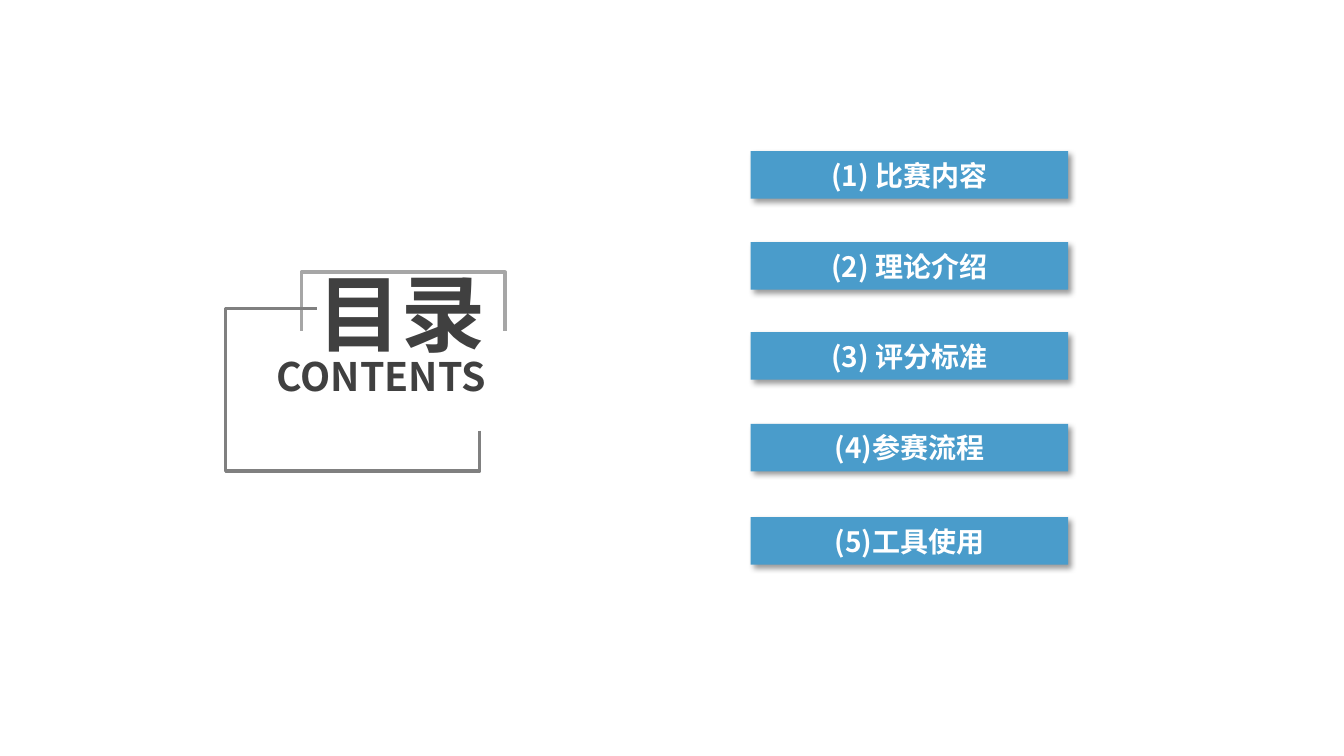
import lxml.etree
import pptx
import pptx.dml.color
import pptx.enum.shapes
import pptx.enum.text
import pptx.oxml
import pptx.oxml.ns
import pptx.util
from pptx.util import Cm

COLORS = {
    "title": "404040",
    "upper_frame": "A6A6A6",
    "lower_frame": "808080",
    "bar": "4A9CCB",
    "bar_text": "FFFFFF",
}
FONT = "Noto Sans CJK SC"
SHADOW = (
    f'<a:effectLst {pptx.oxml.ns.nsdecls("a")}>'
    '<a:outerShdw blurRad="50800" dist="38100" dir="2700000" algn="tl" rotWithShape="0">'
    '<a:srgbClr val="000000"><a:alpha val="40000"/></a:srgbClr>'
    "</a:outerShdw></a:effectLst>"
)


def rgb(name):
    return pptx.dml.color.RGBColor.from_string(COLORS[name])


def add_run(paragraph, text, size, color):
    """Add a bold run that uses FONT for Latin and East Asian letters."""
    run = paragraph.add_run()
    run.text = text
    run.font.size = pptx.util.Pt(size)
    run.font.bold = True
    run.font.name = FONT
    run.font.color.rgb = rgb(color)
    east_asian = lxml.etree.SubElement(run.font._element, pptx.oxml.ns.qn("a:ea"))
    east_asian.set("typeface", FONT)


presentation = pptx.Presentation()
presentation.slide_width = Cm(33.87)
presentation.slide_height = Cm(19.05)
slide = presentation.slides.add_slide(presentation.slide_layouts[6])

# Heading
heading = slide.shapes.add_textbox(Cm(3.63), Cm(6.96), Cm(8.86), Cm(4.01))
heading.text_frame.word_wrap = True
heading.text_frame.auto_size = pptx.enum.text.MSO_AUTO_SIZE.SHAPE_TO_FIT_TEXT
title = heading.text_frame.paragraphs[0]
subtitle = heading.text_frame.add_paragraph()
for paragraph, text, size in ((title, "目录", 60), (subtitle, "CONTENTS", 28)):
    paragraph.alignment = pptx.enum.text.PP_ALIGN.RIGHT
    paragraph.line_spacing = 0.8
    add_run(paragraph, text, size, "title")

# Open frames around the heading
frames = {
    "upper_frame": [(7.6, 8.33), (7.6, 6.86), (12.73, 6.86), (12.73, 8.33)],
    "lower_frame": [(12.09, 10.85), (12.09, 11.87), (5.69, 11.87), (5.69, 7.77), (7.98, 7.77)],
}
for name, corners in frames.items():
    points = [(Cm(x), Cm(y)) for x, y in corners]
    builder = slide.shapes.build_freeform(*points[0])
    builder.add_line_segments(points[1:], close=False)
    frame = builder.convert_to_shape()
    frame.shadow.inherit = False
    frame.fill.background()
    frame.line.color.rgb = rgb(name)
    frame.line.width = pptx.util.Pt(2.5)

# Agenda bars
agenda = [
    (3.81, "(1) 比赛内容"),
    (6.1, "(2) 理论介绍"),
    (8.37, "(3) 评分标准"),
    (10.68, "(4)参赛流程"),
    (13.03, "(5)工具使用"),
]
for top, text in agenda:
    bar = slide.shapes.add_shape(
        pptx.enum.shapes.MSO_SHAPE.RECTANGLE, Cm(18.92), Cm(top), Cm(8), Cm(1.2)
    )
    bar.fill.solid()
    bar.fill.fore_color.rgb = rgb("bar")
    bar.line.fill.background()
    bar._element.spPr.append(pptx.oxml.parse_xml(SHADOW))
    bar.text_frame.vertical_anchor = pptx.enum.text.MSO_ANCHOR.MIDDLE
    paragraph = bar.text_frame.paragraphs[0]
    paragraph.alignment = pptx.enum.text.PP_ALIGN.CENTER
    add_run(paragraph, text, 20, "bar_text")

presentation.save("out.pptx")
